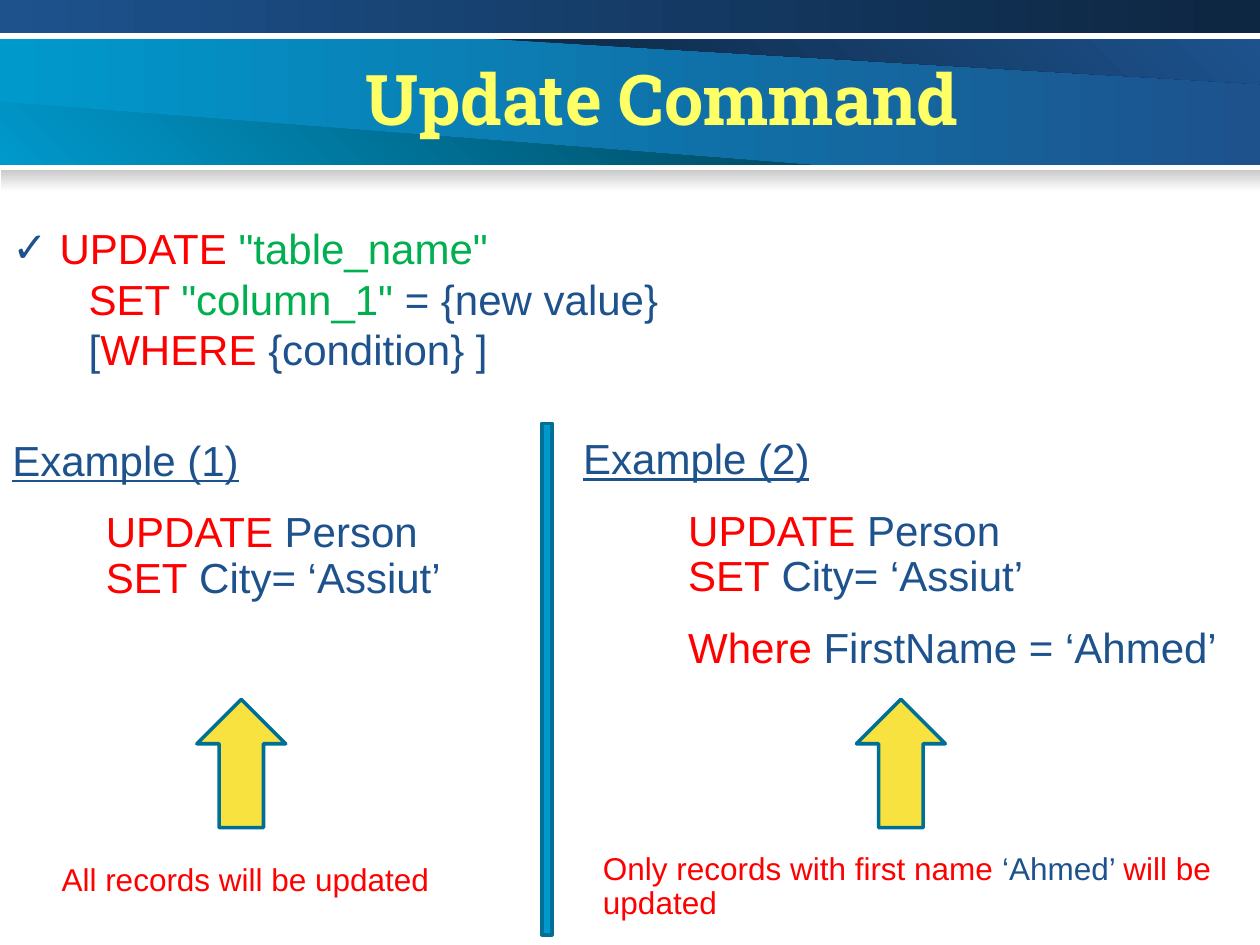
from pptx import Presentation
from pptx.dml.color import RGBColor
from pptx.enum.shapes import MSO_SHAPE
from pptx.enum.text import MSO_ANCHOR, PP_ALIGN
from pptx.oxml.ns import qn
from pptx.util import Pt
from lxml import etree

RECTANGLE, UP_ARROW = MSO_SHAPE.RECTANGLE, MSO_SHAPE.UP_ARROW
TOP, MIDDLE = MSO_ANCHOR.TOP, MSO_ANCHOR.MIDDLE
LEFT, CENTER = PP_ALIGN.LEFT, PP_ALIGN.CENTER

COLORS = {
    "sky": "0099CC", "blue": "1D528D", "navy": "0D2641", "teal": "00475E",
    "edge": "006F95", "gray": "CACACA", "white": "FFFFFF", "lemon": "FFFF66",
    "yellow": "F8E23F", "red": "FF0000", "green": "00B050",
}


def rgb(name):
    return RGBColor.from_string(COLORS[name])


class SlideBuilder:
    """Holds the text style and the current slide, and draws its elements."""

    def __init__(self, slide, font="Arial", size=24):
        self.slide, self.font, self.size = slide, font, size

    def shade(self, shape, start, end, angle):
        shape.shadow.inherit = False
        shape.line.fill.background()
        shape.fill.gradient()
        shape.fill.gradient_angle = angle
        for stop, name in zip(shape.fill.gradient_stops, (start, end)):
            stop.color.rgb = rgb(name)

    def band(self, box, start, end, angle=0):
        shape = self.slide.shapes.add_shape(RECTANGLE, *map(Pt, box))
        self.shade(shape, start, end, angle)

    def wedge(self, points, start, end):
        corners = [(Pt(x), Pt(y)) for x, y in points]
        builder = self.slide.shapes.build_freeform(*corners[0])
        builder.add_line_segments(corners[1:])
        self.shade(builder.convert_to_shape(), start, end, 45)

    def solid(self, kind, box, fill):
        shape = self.slide.shapes.add_shape(kind, *map(Pt, box))
        shape.shadow.inherit = False
        shape.fill.solid()
        shape.fill.fore_color.rgb = rgb(fill)
        shape.line.color.rgb = rgb("edge")
        shape.line.width = Pt(2)

    def text_box(self, box, anchor=TOP):
        frame = self.slide.shapes.add_textbox(*map(Pt, box)).text_frame
        frame.word_wrap = True
        frame.vertical_anchor = anchor
        return frame

    def paragraph(self, frame, lines, before=0, spacing=0.9, indent=0,
                  bullet=None, align=LEFT, size=None, font=None, **emphasis):
        first = frame.paragraphs[0]
        paragraph = frame.add_paragraph() if first.runs else first
        paragraph.alignment = align
        paragraph.space_before = Pt(before)
        paragraph.line_spacing = spacing
        properties = paragraph._p.get_or_add_pPr()
        properties.set("marL", str(Pt(indent)))
        properties.set("indent", str(Pt(-indent if bullet else 0)))
        if bullet:
            color = etree.SubElement(properties, qn("a:buClr"))
            etree.SubElement(color, qn("a:srgbClr"), val=COLORS["blue"])
            etree.SubElement(properties, qn("a:buFont"), typeface=self.font)
            etree.SubElement(properties, qn("a:buChar"), char=bullet)
        for number, line in enumerate(lines):
            if number:
                paragraph.add_line_break()
            for words, color in line:
                run = paragraph.add_run()
                run.text = words
                run.font.name = font or self.font
                run.font.size = Pt(size or self.size)
                run.font.color.rgb = rgb(color)
                for key, value in emphasis.items():
                    setattr(run.font, key, value)

    def example(self, box, heading, indent, *statements):
        frame = self.text_box(box, MIDDLE)
        self.paragraph(frame, [[(heading, "blue")]], before=15, underline=True)
        for lines in statements:
            self.paragraph(frame, lines, before=15, indent=indent)

    def note(self, box, *runs):
        self.paragraph(self.text_box(box), [runs], before=11.2, size=18)


def main():
    deck = Presentation()
    deck.slide_width, deck.slide_height = Pt(720), Pt(540)
    page = SlideBuilder(deck.slides.add_slide(deck.slide_layouts[6]))

    page.band((0, 22.3, 720, 72), "sky", "blue")
    page.wedge([(283, 22.3), (720, 48), (720, 22.3)], "navy", "blue")
    page.wedge([(0, 58.3), (463, 94.3), (0, 94.3)], "sky", "teal")
    page.band((0, 0, 720, 18.7), "blue", "navy")
    page.band((0.7, 97.2, 719.3, 12.2), "gray", "white", 270)

    title = page.text_box((36.7, 28.1, 683.3, 55.4))
    page.paragraph(title, [[("Update Command", "lemon")]], spacing=1,
                   align=CENTER, size=40, font="Roboto Slab", bold=True)

    syntax = page.text_box((0, 123.8, 720, 137.5))
    leading = Pt(28.8)
    page.paragraph(syntax, [[("UPDATE ", "red"), ('"table_name"', "green")]],
                   spacing=leading, indent=27, bullet="✓")
    page.paragraph(syntax, [
        [("SET ", "red"), ('"column_1" ', "green"), ("= {new value}", "blue")],
        [("[", "blue"), ("WHERE", "red"), (" {condition} ]", "blue")],
    ], spacing=leading, indent=43.6)

    update = [[("UPDATE", "red"), (" Person", "blue")],
              [("SET", "red"), (" City= ‘Assiut’", "blue")]]
    condition = [[("Where", "red"), (" FirstName = ‘Ahmed’", "blue")]]
    page.example((0, 247.7, 281.5, 100), "Example (1)", 53.4, update)
    page.solid(RECTANGLE, (309.6, 241.9, 5.8, 292.3), "sky")
    page.example((326.2, 247, 388, 141), "Example (2)", 60, update, condition)

    page.note((28.1, 490.3, 242, 26.6), ("All records will be updated", "red"))
    page.note((337.5, 483.8, 405.4, 46), ("Only records with first name ", "red"),
              ("‘Ahmed’ ", "blue"), ("will be updated", "red"))
    for left in (112.5, 489.4):
        page.solid(UP_ARROW, (left, 399.6, 50.8, 73.4), "yellow")

    deck.save("out.pptx")


if __name__ == "__main__":
    main()
